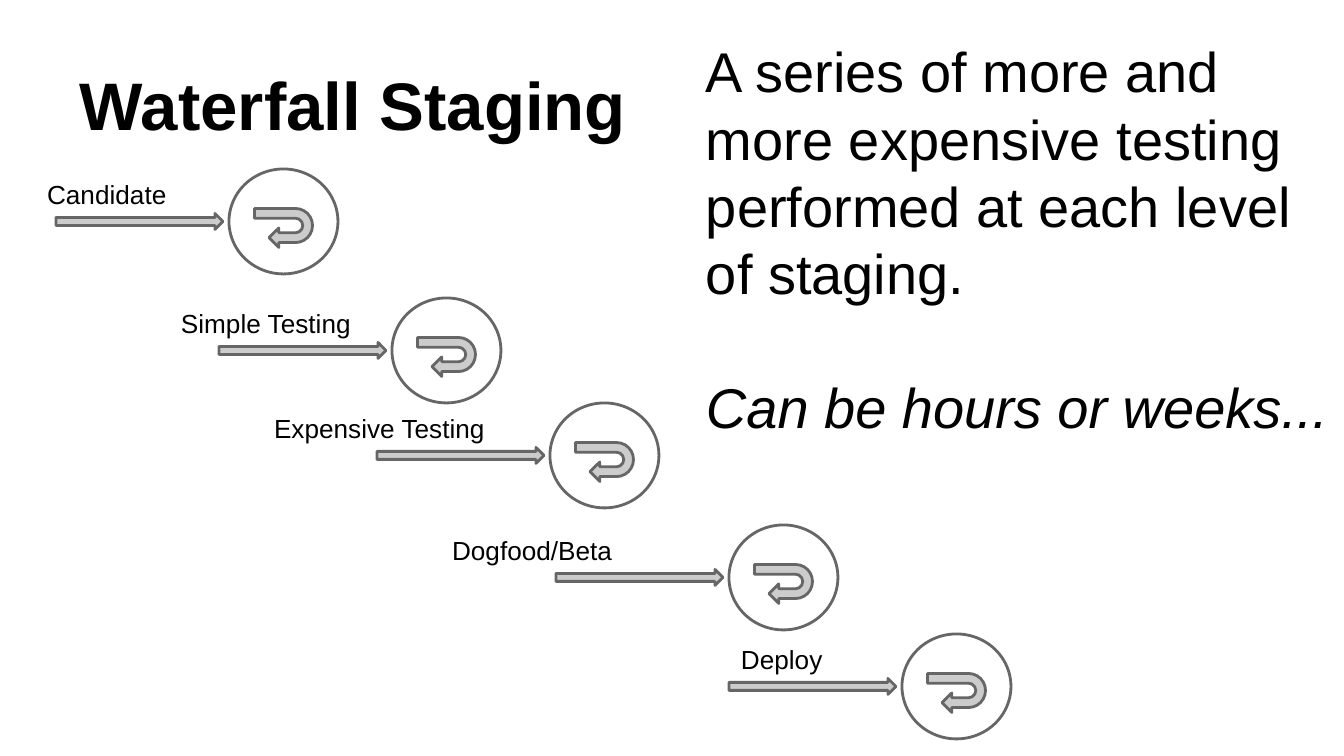
from dataclasses import dataclass
from pptx import Presentation
from pptx.dml.color import RGBColor
from pptx.enum.shapes import MSO_SHAPE
from pptx.enum.text import MSO_ANCHOR
from pptx.util import Pt

CIRCLE, UTURN, ARROW = MSO_SHAPE.OVAL, MSO_SHAPE.U_TURN_ARROW, MSO_SHAPE.RIGHT_ARROW
TOP, BOTTOM = MSO_ANCHOR.TOP, MSO_ANCHOR.BOTTOM


@dataclass(frozen=True)
class Theme:
    font: str = "Arial"
    text: RGBColor = RGBColor(0x00, 0x00, 0x00)
    paper: RGBColor = RGBColor(0xFF, 0xFF, 0xFF)
    arrow: RGBColor = RGBColor(0xCC, 0xCC, 0xCC)
    outline: RGBColor = RGBColor(0x66, 0x66, 0x66)
    outline_pt: float = 1.5
    title_pt: int = 36
    body_pt: int = 30
    label_pt: int = 14


THEME = Theme()

# Content
TITLE = "Waterfall Staging"
BODY = "A series of more and more expensive testing performed at each level of staging."
REMARK = "Can be hours or weeks..."
STAGES = [  # label, circle left and top, label left and width
    ("Candidate", 229, 169, 34, 179),
    ("Simple Testing", 392, 298, 168, 207),
    ("Expensive Testing", 550, 403, 261, 273),
    ("Dogfood/Beta", 729, 525, 439, 273),
    ("Deploy", 902, 634, 728, 156),
]

# Geometry in px, 134.4 to the inch
SCALE = 914400 / 134.4
CIRCLE_W, CIRCLE_H = 109, 105
UTURN_DX, UTURN_DY, UTURN_W, UTURN_H = 35, 30, 39, 58
ARROW_DX, ARROW_W, ARROW_H = -173, 167, 16
LABEL_DY, LABEL_H = -4, 60
INSET = 13


def px(*lengths):
    return [round(n * SCALE) for n in lengths]


def add_figure(shapes, kind, box, fill):
    sp = shapes.add_shape(kind, *px(*box))
    sp.shadow.inherit = False
    sp.fill.solid()
    sp.fill.fore_color.rgb = fill
    sp.line.color.rgb = THEME.outline
    sp.line.width = Pt(THEME.outline_pt)
    return sp


def add_run(p, text, size, bold=False, italic=False):
    r = p.add_run()
    r.text = text
    r.font.name, r.font.size = THEME.font, Pt(size)
    r.font.bold, r.font.italic = bold, italic
    r.font.color.rgb = THEME.text


def add_text(shapes, box, anchor=TOP):
    tf = shapes.add_textbox(*px(*box)).text_frame
    tf.word_wrap = True
    tf.vertical_anchor = anchor
    tf.margin_left, tf.margin_top, tf.margin_right, tf.margin_bottom = px(*[INSET] * 4)
    return tf


def add_stage(shapes, label, x, y, label_x, label_w):
    # Circle with its return loop
    group = shapes.add_group_shape().shapes
    add_figure(group, CIRCLE, (x, y, CIRCLE_W, CIRCLE_H), THEME.paper)
    loop = add_figure(group, UTURN, (x + UTURN_DX, y + UTURN_DY, UTURN_W, UTURN_H), THEME.arrow)
    loop.rotation = 90
    # Incoming arrow, centred on the circle
    arrow_y = y + (CIRCLE_H - ARROW_H) / 2
    add_figure(shapes, ARROW, (x + ARROW_DX, arrow_y, ARROW_W, ARROW_H), THEME.arrow)
    tf = add_text(shapes, (label_x, y + LABEL_DY, label_w, LABEL_H))
    add_run(tf.paragraphs[0], label, THEME.label_pt)


prs = Presentation()
prs.slide_width, prs.slide_height = px(1344, 756)
s = prs.slides.add_slide(prs.slide_layouts[6])

# Title
tf = add_text(s.shapes, (67, 31, 1210, 126), BOTTOM)
add_run(tf.paragraphs[0], TITLE, THEME.title_pt, bold=True)

# Waterfall
for stage in STAGES:
    add_stage(s.shapes, *stage)

# Explanation, with one line of space before the remark
tf = add_text(s.shapes, (693, 24, 661, 396))
add_run(tf.paragraphs[0], BODY, THEME.body_pt)
p = tf.add_paragraph()
p.space_before = Pt(36)
add_run(p, REMARK, THEME.body_pt, italic=True)
for p in tf.paragraphs:
    p.line_spacing = Pt(36)

prs.save("out.pptx")
